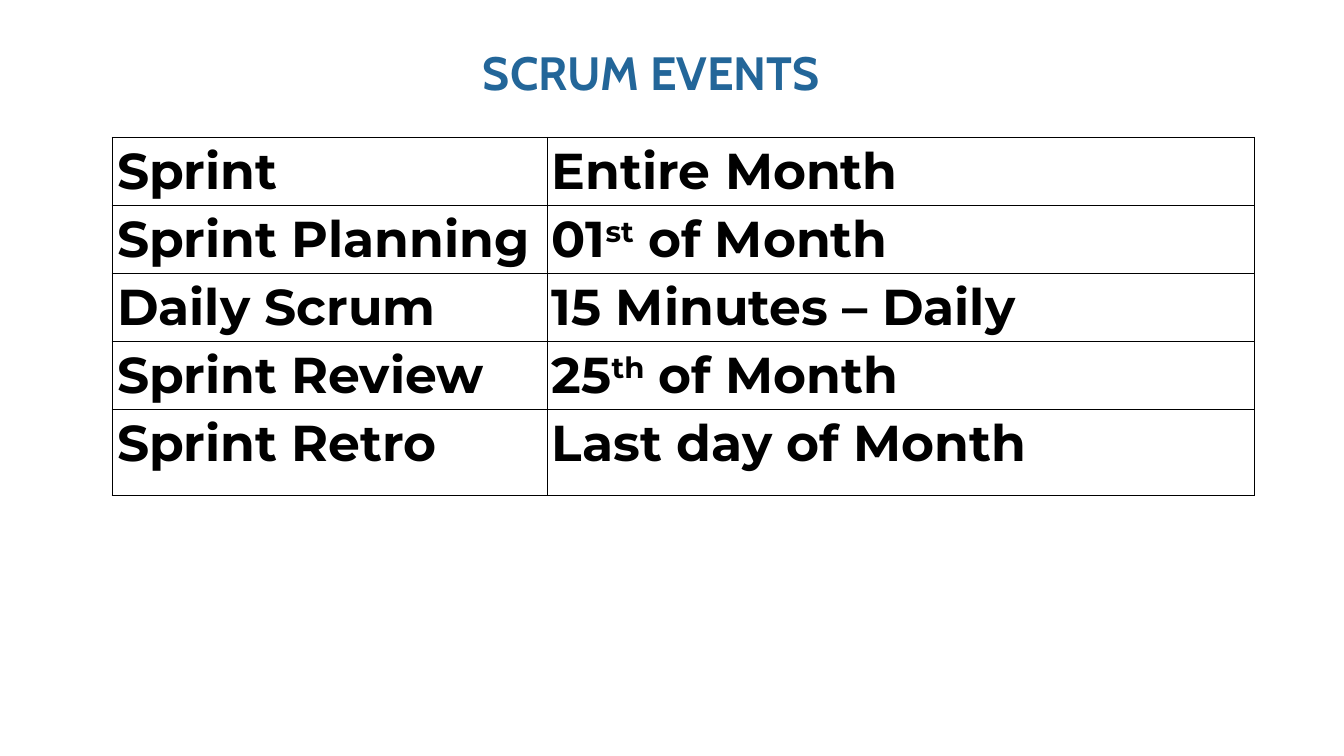
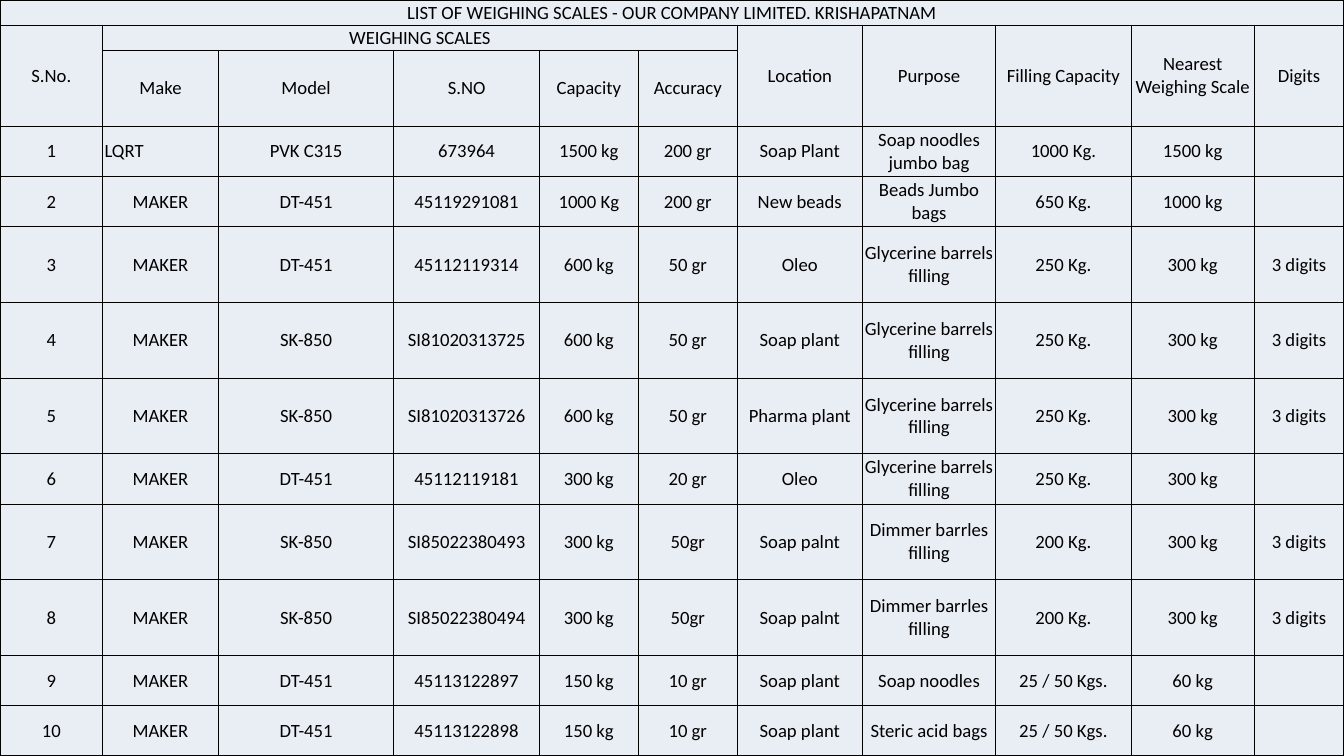
from dataclasses import dataclass

from lxml.etree import SubElement
from pptx import Presentation
from pptx.dml.color import RGBColor
from pptx.enum.text import MSO_ANCHOR, PP_ALIGN
from pptx.oxml.ns import qn
from pptx.util import Pt


@dataclass(frozen=True)
class TextStyle:
    font: str
    size: int
    color: str
    bold: bool = False


@dataclass(frozen=True)
class TableStyle:
    text: TextStyle
    fill: str
    margins: tuple
    align: PP_ALIGN = PP_ALIGN.LEFT
    anchor: MSO_ANCHOR = MSO_ANCHOR.TOP


@dataclass(frozen=True)
class Theme:
    border: str = "000000"
    border_width: int = 1
    title: TextStyle = TextStyle("Cabin", 50, "236699", True)
    events: TableStyle = TableStyle(
        TextStyle("Montserrat", 54, "000000", True), "FFFFFF", (5.4, 3.6, 5.4, 3.6))
    scales: TableStyle = TableStyle(
        TextStyle("Calibri", 20, "000000"), "E9EDF4", (0.7, 0.7, 0.7, 0),
        PP_ALIGN.CENTER, MSO_ANCHOR.MIDDLE)


THEME = Theme()

EVENTS = [
    ("Sprint", "Entire Month"),
    ("Sprint Planning", "01^st^ of Month"),
    ("Daily Scrum", "15 Minutes – Daily"),
    ("Sprint Review", "25^th^ of Month"),
    ("Sprint Retro", "Last day of Month"),
]

SCALES_HEAD = [
    ("LIST OF WEIGHING SCALES - OUR COMPANY LIMITED. KRISHAPATNAM",),
    ("S.No.", "WEIGHING SCALES", "", "", "", "", "Location", "Purpose",
     "Filling Capacity", "Nearest Weighing Scale", "Digits"),
    ("", "Make", "Model", "S.NO", "Capacity", "Accuracy"),
]

SCALES = [
    ("LQRT", "PVK C315", "673964", "1500 kg", "200 gr", "Soap Plant",
     "Soap noodles jumbo bag", "1000 Kg.", "1500 kg"),
    ("MAKER", "DT-451", "45119291081", "1000 Kg", "200 gr", "New beads",
     "Beads Jumbo bags", "650 Kg.", "1000 kg"),
    ("MAKER", "DT-451", "45112119314", "600 kg", "50 gr", "Oleo",
     "Glycerine barrels filling", "250 Kg.", "300 kg", "3 digits"),
    ("MAKER", "SK-850", "SI81020313725", "600 kg", "50 gr", "Soap plant",
     "Glycerine barrels filling", "250 Kg.", "300 kg", "3 digits"),
    ("MAKER", "SK-850", "SI81020313726", "600 kg", "50 gr", "Pharma plant",
     "Glycerine barrels filling", "250 Kg.", "300 kg", "3 digits"),
    ("MAKER", "DT-451", "45112119181", "300 kg", "20 gr", "Oleo",
     "Glycerine barrels filling", "250 Kg.", "300 kg"),
    ("MAKER", "SK-850", "SI85022380493", "300 kg", "50gr", "Soap palnt",
     "Dimmer barrles filling", "200 Kg.", "300 kg", "3 digits"),
    ("MAKER", "SK-850", "SI85022380494", "300 kg", "50gr", "Soap palnt",
     "Dimmer barrles filling", "200 Kg.", "300 kg", "3 digits"),
    ("MAKER", "DT-451", "45113122897", "150 kg", "10 gr", "Soap plant",
     "Soap noodles", "25 / 50 Kgs.", "60 kg"),
    ("MAKER", "DT-451", "45113122898", "150 kg", "10 gr", "Soap plant",
     "Steric acid bags", "25 / 50 Kgs.", "60 kg"),
]


def write(p, text, style):
    """Fill a paragraph, raising the parts of the text between carets."""
    p.font.name = style.font
    p.font.size = Pt(style.size)
    p.font.bold = style.bold
    p.font.color.rgb = RGBColor.from_string(style.color)
    for i, part in enumerate(text.split("^")):
        if part:
            r = p.add_run()
            r.text = part
            if i % 2:
                r._r.get_or_add_rPr().set("baseline", "30000")


def add_title(s, text, left, top, width, height):
    """Add a slide title without inner margins."""
    tf = s.shapes.add_textbox(Pt(left), Pt(top), Pt(width), Pt(height)).text_frame
    tf.word_wrap = True
    tf.margin_left = tf.margin_top = tf.margin_right = tf.margin_bottom = 0
    write(tf.paragraphs[0], text, THEME.title)


def add_borders(cell):
    """Draw a thin line on all four sides of a cell."""
    tcPr = cell._tc.get_or_add_tcPr()
    for side in ("lnL", "lnR", "lnT", "lnB"):
        ln = SubElement(tcPr, qn(f"a:{side}"), w=str(Pt(THEME.border_width)))
        fill = SubElement(ln, qn("a:solidFill"))
        SubElement(fill, qn("a:srgbClr"), val=THEME.border)


def format_cell(cell, text, style):
    """Give a cell its borders, fill, margins and text."""
    add_borders(cell)
    cell.fill.solid()
    cell.fill.fore_color.rgb = RGBColor.from_string(style.fill)
    cell.margin_left, cell.margin_top, cell.margin_right, cell.margin_bottom = map(
        Pt, style.margins)
    cell.vertical_anchor = style.anchor
    p = cell.text_frame.paragraphs[0]
    p.alignment = style.align
    write(p, text, style.text)


def add_grid(s, rows, left, top, widths, heights, style):
    """Add a table, leaving cells beyond the end of a short row empty."""
    table = s.shapes.add_table(len(heights), len(widths), Pt(left), Pt(top),
                               Pt(sum(widths)), Pt(sum(heights))).table
    table.first_row = table.horz_banding = False
    for column, width in zip(table.columns, widths):
        column.width = Pt(width)
    for row, height, texts in zip(table.rows, heights, rows):
        row.height = Pt(height)
        for i, cell in enumerate(row.cells):
            format_cell(cell, texts[i] if i < len(texts) else "", style)
    return table


def build_events(s):
    """Build the slide with the calendar of scrum events."""
    add_title(s, "SCRUM EVENTS", 517.5, 47, 405.5, 60.5)
    add_grid(s, EVENTS, 120, 147, (466, 758), [73] * 4 + [92], THEME.events)


def build_scales(s):
    """Build the slide with the list of weighing scales."""
    rows = SCALES_HEAD + [(str(n), *scale) for n, scale in enumerate(SCALES, 1)]
    widths = (110, 124, 188, 156, 106, 106, 134, 143, 145, 132, 96)
    low, high = 54, 81
    heights = [27, 27, high, low, low, high, high, high, low, high, high, low, low]
    table = add_grid(s, rows, 0, 0, widths, heights, THEME.scales)
    table.cell(0, 0).merge(table.cell(0, 10))
    table.cell(1, 1).merge(table.cell(1, 5))
    for column in (0, *range(6, 11)):
        table.cell(1, column).merge(table.cell(2, column))
    first_make = table.cell(len(SCALES_HEAD), 1)
    first_make.margin_left = Pt(2)
    first_make.text_frame.paragraphs[0].alignment = PP_ALIGN.LEFT


def main():
    """Build both slides and save the presentation."""
    prs = Presentation()
    prs.slide_width, prs.slide_height = Pt(1440), Pt(810)
    for build in (build_events, build_scales):
        build(prs.slides.add_slide(prs.slide_layouts[6]))
    prs.save("out.pptx")


if __name__ == "__main__":
    main()
